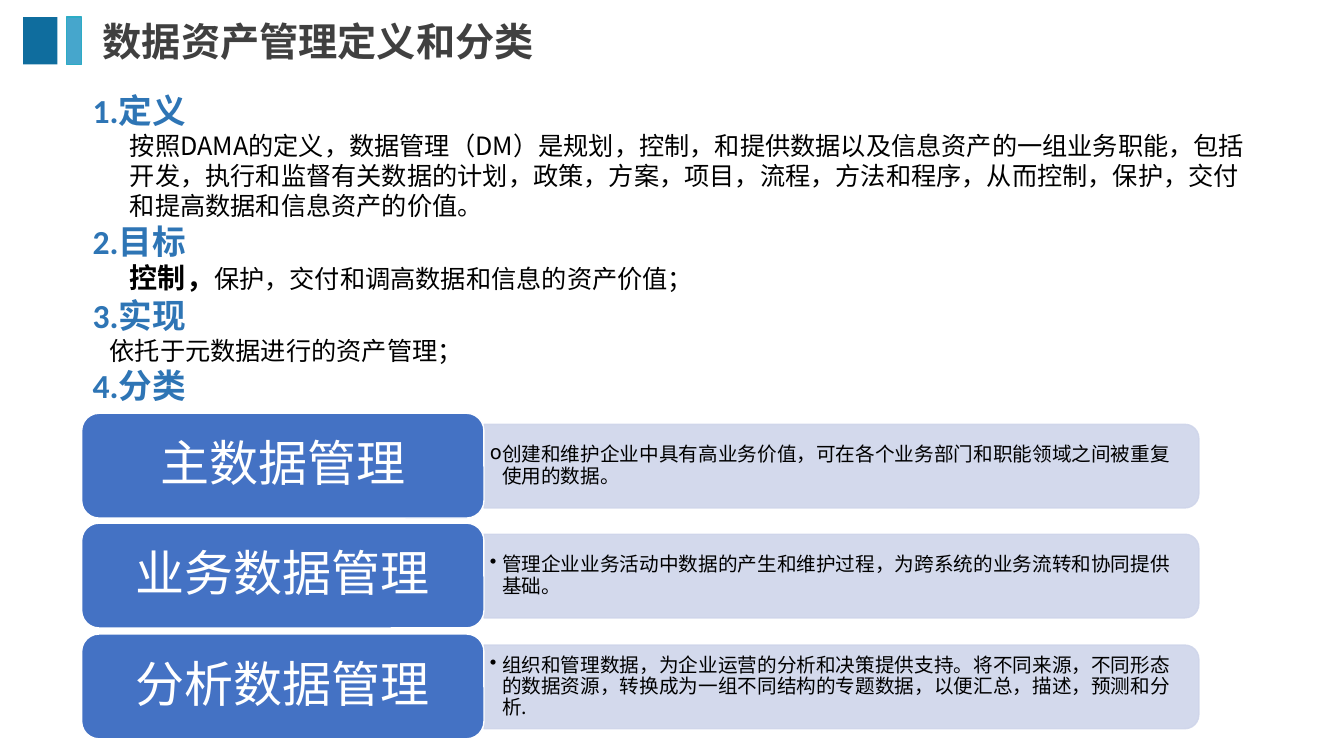
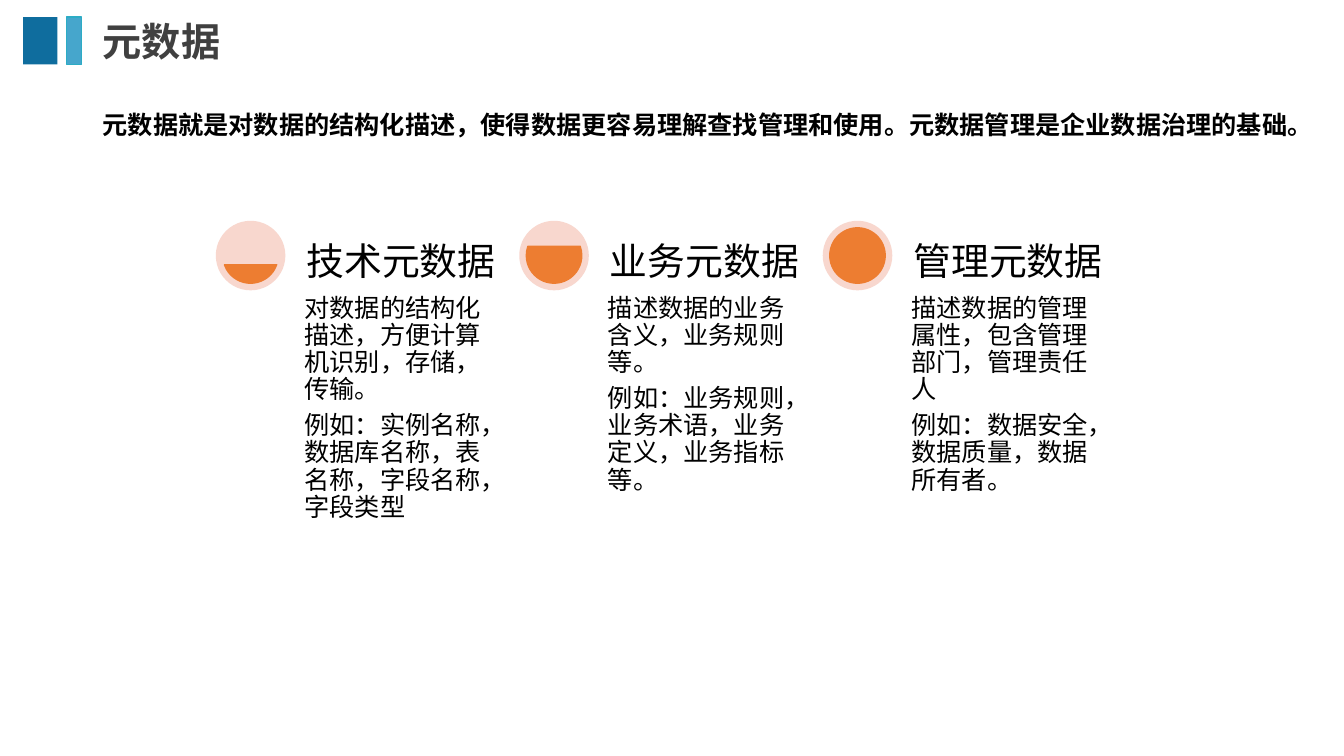
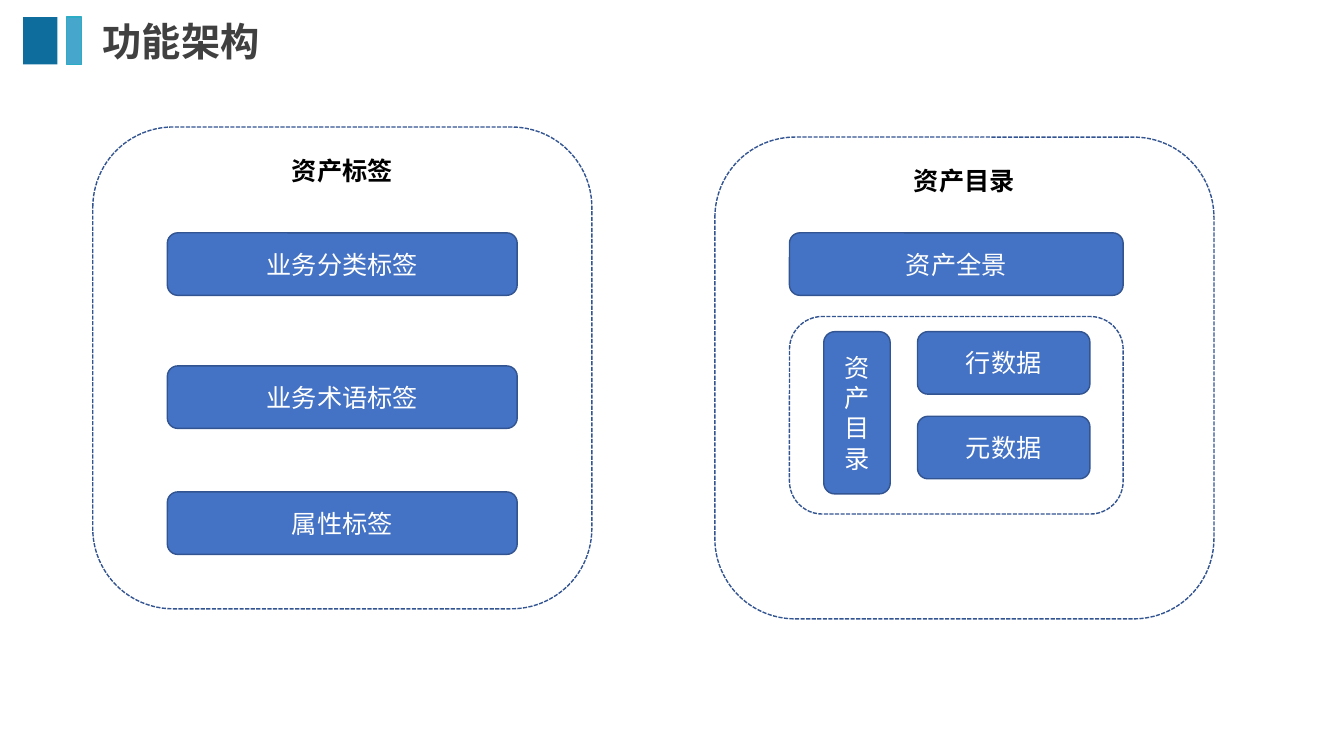
from dataclasses import dataclass, replace
from math import asin, degrees

from lxml.etree import SubElement
from pptx import Presentation
from pptx.dml.color import RGBColor
from pptx.enum.dml import MSO_LINE
from pptx.enum.shapes import MSO_SHAPE as Shape
from pptx.enum.text import MSO_ANCHOR as Anchor, MSO_AUTO_SIZE as AutoSize, PP_ALIGN as Align
from pptx.oxml.ns import qn
from pptx.util import Emu, Pt

PX = 9144
CJK = "Noto Sans CJK SC"
TITLE_ONLY = 5
COLORS = {
    "dark_band": "0F6D9E",
    "light_band": "46A6CC",
    "band_line": "2CACC5",
    "title": "404040",
    "heading": "2E75B5",
    "text": "000000",
    "white": "FFFFFF",
    "block": "4472C4",
    "outline": "325491",
    "bar": "CFD5EA",
    "disc": "F8D7CE",
    "level": "ED7D31",
}


@dataclass(frozen=True)
class TextStyle:
    size: int = 18
    color: str = "text"
    bold: bool = False
    latin: str = CJK
    align: Align = Align.LEFT
    line_spacing: float = 1.0
    space_after: float = 0
    margin: int = 0
    bullet: str = ""


TITLE = TextStyle(28, "title", True, "Quicksand", line_spacing=0.9)
HEADING = TextStyle(24, "heading", True, "Calibri", margin=38)
BODY = TextStyle(margin=75)
STRONG = TextStyle(bold=True)
PANEL = replace(STRONG, align=Align.CENTER)
BLOCK = TextStyle(color="white", align=Align.CENTER)
CATEGORY = replace(BLOCK, size=35, line_spacing=0.9)
NOTE = TextStyle(14, line_spacing=0.9, margin=12)
KIND = TextStyle(27, line_spacing=0.9)
DETAIL = TextStyle(line_spacing=0.9, space_after=6.3)


def px(value):
    return Emu(value * PX)


def rgb(name):
    return RGBColor.from_string(COLORS[name])


class Deck:
    """Holds the shared style and the slide being built."""

    def __init__(self):
        self.presentation = Presentation()
        self.presentation.slide_width = px(1333)
        self.presentation.slide_height = px(750)
        self.slide = None

    def new_slide(self, title):
        layout = self.presentation.slide_layouts[TITLE_ONLY]
        self.slide = self.presentation.slides.add_slide(layout)
        self.shape(Shape.RECTANGLE, 23, 17, 34, 47, "dark_band")
        self.shape(Shape.RECTANGLE, 66, 17, 15, 47, "light_band", "band_line")
        shape = self.slide.shapes.title
        shape.left, shape.top, shape.width, shape.height = map(px, (92, 17, 1112, 53))
        self.set_text(shape, [(title, TITLE)], Anchor.MIDDLE)

    def shape(self, kind, left, top, width, height, fill=None, line=None, dashed=False):
        shape = self.slide.shapes.add_shape(kind, *map(px, (left, top, width, height)))
        shape.shadow.inherit = False
        if fill:
            shape.fill.solid()
            shape.fill.fore_color.rgb = rgb(fill)
        else:
            shape.fill.background()
        if line:
            shape.line.color.rgb = rgb(line)
            shape.line.width = Pt(1)
            if dashed:
                shape.line.dash_style = MSO_LINE.SQUARE_DOT
        else:
            shape.line.fill.background()
        return shape

    def text(self, left, top, width, height, lines, anchor=Anchor.TOP, inset=(10, 5)):
        box = self.slide.shapes.add_textbox(*map(px, (left, top, width, height)))
        return self.set_text(box, lines, anchor, inset)

    def block(self, left, top, width, height, text):
        shape = self.shape(Shape.ROUNDED_RECTANGLE, left, top, width, height, "block", "outline")
        self.set_text(shape, [(text, BLOCK)], Anchor.MIDDLE)

    def panel(self, left, top, width, height, text=None):
        shape = self.shape(Shape.ROUNDED_RECTANGLE, left, top, width, height,
                           line="outline", dashed=True)
        if text:
            self.set_text(shape, [(text, PANEL)])

    def bar(self, left, top, width, height):
        """Draws a translucent bar rounded on its right side."""
        shift = (width - height) // 2
        shape = self.shape(Shape.ROUND_2_SAME_RECTANGLE, left + shift, top - shift,
                           height, width, "bar", "bar")
        shape.rotation = 90
        for color in shape._element.spPr.iter(qn("a:srgbClr")):
            SubElement(color, qn("a:alpha"), val="90000")

    def gauge(self, left, top, share):
        """Draws a disc filled from the bottom up to the given share."""
        self.shape(Shape.OVAL, left, top, 69, 69, "disc")
        level = self.shape(Shape.CHORD, left + 7, top + 7, 55, 55, "level", "level")
        angle = degrees(asin(1 - 2 * share))
        level.adjustments[0] = angle % 360 * 0.6
        level.adjustments[1] = (180 - angle) * 0.6

    def set_text(self, shape, lines, anchor=Anchor.TOP, inset=(10, 5)):
        frame = shape.text_frame
        frame.word_wrap = True
        frame.auto_size = AutoSize.NONE
        frame.vertical_anchor = anchor
        frame.margin_left = frame.margin_right = px(inset[0])
        frame.margin_top = frame.margin_bottom = px(inset[1])
        frame.text = "\n".join(text for text, style in lines)
        for paragraph, (text, style) in zip(frame.paragraphs, lines):
            self.format_paragraph(paragraph, style)
        return frame

    def format_paragraph(self, paragraph, style):
        paragraph.alignment = style.align
        paragraph.line_spacing = style.line_spacing
        paragraph.space_after = Pt(style.space_after)
        properties = paragraph._p.get_or_add_pPr()
        properties.set("marL", str(px(style.margin)))
        properties.set("indent", str(px(-style.margin if style.bullet else 0)))
        if style.bullet:
            SubElement(properties, qn("a:buChar"), char=style.bullet)
        for run in paragraph.runs:
            self.format_run(run, style)

    def format_run(self, run, style):
        run.font.size = Pt(style.size)
        run.font.bold = style.bold
        run.font.color.rgb = rgb(style.color)
        run.font.name = style.latin
        SubElement(run._r.get_or_add_rPr(), qn("a:ea"), typeface=CJK)


def build_definition(deck):
    deck.new_slide("数据资产管理定义和分类")
    frame = deck.text(44, 84, 1208, 326, [
        ("1.定义", HEADING),
        ("按照DAMA的定义，数据管理（DM）是规划，控制，和提供数据以及信息资产的一组业务职能，"
         "包括开发，执行和监督有关数据的计划，政策，方案，项目，流程，方法和程序，"
         "从而控制，保护，交付和提高数据和信息资产的价值。", BODY),
        ("2.目标", HEADING),
        ("控制，", replace(BODY, size=20, bold=True)),
        ("3.实现", HEADING),
        ("依托于元数据进行的资产管理；", replace(BODY, margin=55)),
        ("4.分类", HEADING),
    ])
    goal = frame.paragraphs[3].add_run()
    goal.text = "保护，交付和调高数据和信息的资产价值；"
    deck.format_run(goal, BODY)

    categories = [
        ("主数据管理", "o",
         "创建和维护企业中具有高业务价值，可在各个业务部门和职能领域之间被重复使用的数据。"),
        ("业务数据管理", "•",
         "管理企业业务活动中数据的产生和维护过程，为跨系统的业务流转和协同提供基础。"),
        ("分析数据管理", "•",
         "组织和管理数据，为企业运营的分析和决策提供支持。将不同来源，不同形态的数据资源，"
         "转换成为一组不同结构的专题数据，以便汇总，描述，预测和分析."),
    ]
    for index, (name, bullet, note) in enumerate(categories):
        top = 410 + index * 219 // 2
        deck.bar(480, top + 11, 709, 83)
        deck.text(480, top + 15, 705, 75, [(note, replace(NOTE, bullet=bullet))],
                  Anchor.MIDDLE, (6, 3))
        label = deck.shape(Shape.ROUNDED_RECTANGLE, 81, top, 399, 104, "block", "white")
        deck.set_text(label, [(name, CATEGORY)], Anchor.MIDDLE)


def build_metadata(deck):
    deck.new_slide("元数据")
    deck.text(92, 104, 1241, 40, [
        ("元数据就是对数据的结构化描述，使得数据更容易理解查找管理和使用。"
         "元数据管理是企业数据治理的基础。", STRONG)])
    kinds = [
        ("技术元数据", "对数据的结构化描述，方便计算机识别，存储，传输。",
         "例如：实例名称，数据库名称，表名称，字段名称，字段类型"),
        ("业务元数据", "描述数据的业务含义，业务规则等。",
         "例如：业务规则，业务术语，业务定义，业务指标等。"),
        ("管理元数据", "描述数据的管理属性，包含管理部门，管理责任人",
         "例如：数据安全，数据质量，数据所有者。"),
    ]
    for index, (name, meaning, example) in enumerate(kinds):
        left = 214 + index * 301
        deck.gauge(left, 219, (index + 1) / len(kinds))
        deck.text(left + 83, 288, 204, 290, [(meaning, DETAIL), (example, DETAIL)],
                  inset=(5, 5))
        deck.text(left + 83, 219, 204, 69, [(name, KIND)], Anchor.BOTTOM, (7, 7))


def build_architecture(deck):
    deck.new_slide("功能架构")
    deck.panel(92, 126, 495, 478, "资产标签")
    deck.panel(709, 136, 495, 478, "资产目录")
    deck.panel(783, 314, 331, 196)
    blocks = [
        (166, 231, 347, 62, "业务分类标签"),
        (166, 363, 347, 62, "业务术语标签"),
        (166, 488, 347, 62, "属性标签"),
        (783, 231, 331, 62, "资产全景"),
        (817, 329, 66, 161, "资产目录"),
        (910, 329, 171, 62, "行数据"),
        (910, 413, 171, 62, "元数据"),
    ]
    for block in blocks:
        deck.block(*block)


def main():
    deck = Deck()
    build_definition(deck)
    build_metadata(deck)
    build_architecture(deck)
    deck.presentation.save("out.pptx")


if __name__ == "__main__":
    main()
